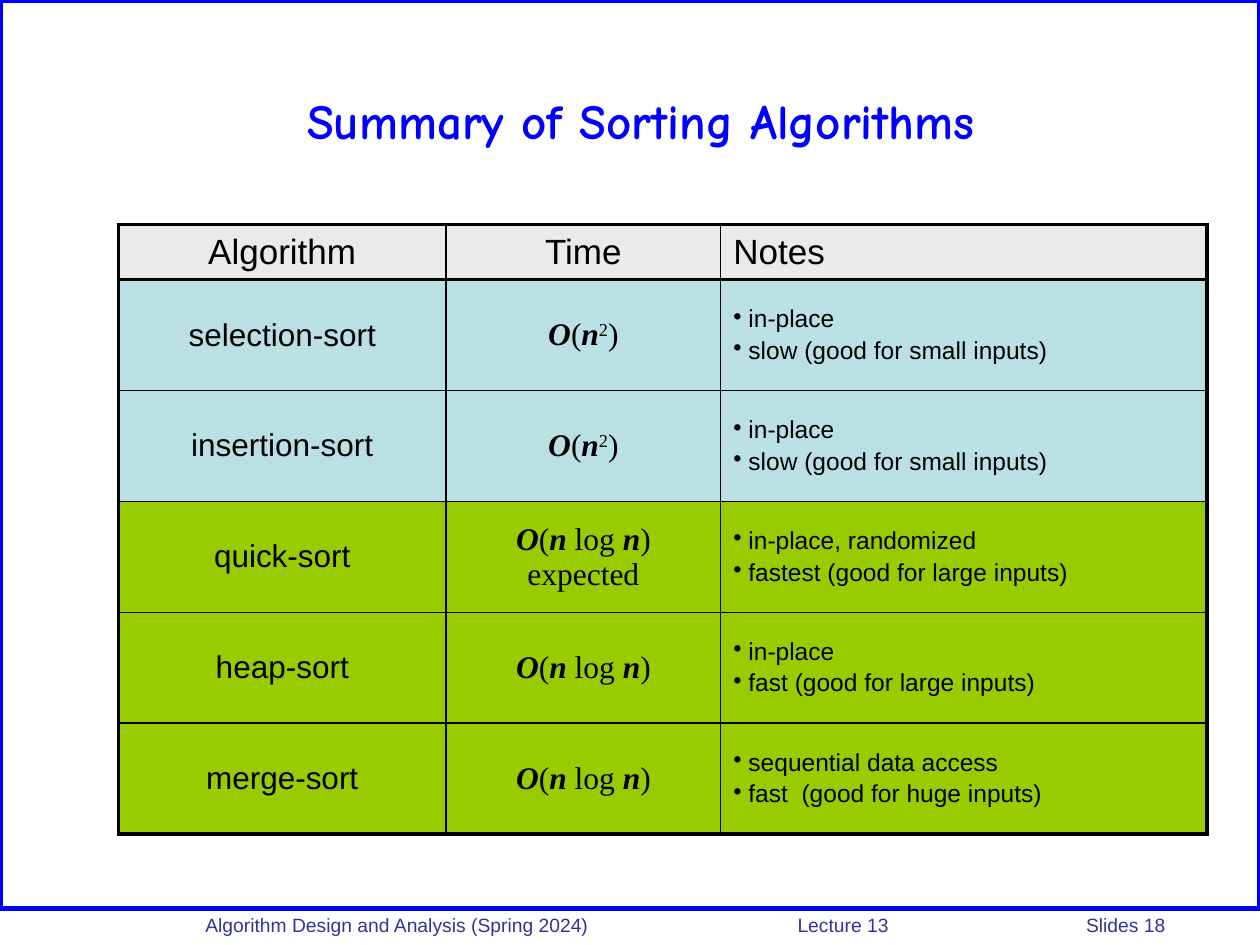
import pptx
import pptx.dml.color
import pptx.enum.shapes
import pptx.enum.text
import pptx.oxml
import pptx.oxml.ns
import pptx.util

ALIGN = pptx.enum.text.PP_ALIGN
MIDDLE = pptx.enum.text.MSO_ANCHOR.MIDDLE
QUADRATIC = ["O", "(", "n", "2", ")"]
LINEARITHMIC = ["O", "(", "n", " log ", "n", ")"]
SLOW, FAST = "BBE0E3", "99CC00"
ALGORITHMS = [
    ("selection-sort", QUADRATIC, ["in-place", "slow (good for small inputs)"], SLOW),
    ("insertion-sort", QUADRATIC, ["in-place", "slow (good for small inputs)"], SLOW),
    ("quick-sort", LINEARITHMIC + ["\n", "expected"],
     ["in-place, randomized", "fastest (good for large inputs)"], FAST),
    ("heap-sort", LINEARITHMIC, ["in-place", "fast (good for large inputs)"], FAST),
    ("merge-sort", LINEARITHMIC, ["sequential data access", "fast  (good for huge inputs)"], FAST),
]


def color(value):
    return pptx.dml.color.RGBColor.from_string(value)


def element(xml):
    return pptx.oxml.parse_xml(xml.replace(" ", f' {pptx.oxml.ns.nsdecls("a")} ', 1))


class SlideBuilder:
    """Holds the style and current slide; lengths are tenths of an inch on a 100 by 75 grid."""

    sans, serif, display = "Arial", "Times New Roman", "Comic Neue"
    blue, footer_color, black, header_fill = "0000FF", "333399", "000000", "EAEAEA"
    thick, thin = 2.25, 1

    def __init__(self, presentation):
        self.unit = presentation.slide_width / 100
        self.slide = presentation.slides.add_slide(presentation.slide_layouts[5])

    def lengths(self, *values):
        return [round(value * self.unit) for value in values]

    def style(self, paragraph, size, font=sans, fill=black, align=ALIGN.LEFT, bold=False):
        paragraph.alignment = align
        paragraph.font.size = pptx.util.Pt(size)
        paragraph.font.name = font
        paragraph.font.bold = bold
        paragraph.font.color.rgb = color(fill)

    def title(self, text, *box):
        shape = self.slide.shapes.title
        shape.left, shape.top, shape.width, shape.height = self.lengths(*box)
        shape.text_frame.text = text
        shape.text_frame.vertical_anchor = MIDDLE
        self.style(shape.text_frame.paragraphs[0], 28, self.display, self.blue, ALIGN.CENTER, True)

    def frame(self, *box):
        shape = self.slide.shapes.add_shape(
            pptx.enum.shapes.MSO_SHAPE.RECTANGLE, *self.lengths(*box))
        shape.shadow.inherit = False
        shape.fill.background()
        shape.line.color.rgb = color(self.blue)
        shape.line.width = pptx.util.Pt(3)

    def footer(self, parts, indent, stops, *box):
        text_frame = self.slide.shapes.add_textbox(*self.lengths(*box)).text_frame
        text_frame.word_wrap = True
        text_frame.margin_left = self.lengths(indent)[0]
        paragraph = text_frame.paragraphs[0]
        paragraph.text = "\t".join(parts)
        tabs = "".join(f'<a:tab pos="{stop}" algn="l"/>' for stop in self.lengths(*stops))
        paragraph._p.get_or_add_pPr().append(element(f"<a:tabLst >{tabs}</a:tabLst>"))
        self.style(paragraph, 11, fill=self.footer_color)

    def label(self, cell, text, size, align=ALIGN.CENTER):
        cell.text = text
        self.style(cell.text_frame.paragraphs[0], size, align=align)

    def formula(self, cell, parts):
        paragraph = cell.text_frame.paragraphs[0]
        self.style(paragraph, 18, self.serif, align=ALIGN.CENTER)
        for part in parts:
            if part == "\n":
                paragraph.add_line_break()
                continue
            run = paragraph.add_run()
            run.text = part
            run.font.bold = run.font.italic = part in ("O", "n")
            if part == "2":
                run._r.get_or_add_rPr().set("baseline", "30000")

    def bullets(self, cell, lines):
        cell.text = "\n".join(lines)
        indent = self.lengths(1.2)[0]
        for index, paragraph in enumerate(cell.text_frame.paragraphs):
            if index:
                paragraph.space_before = pptx.util.Pt(2.2)
            properties = paragraph._p.get_or_add_pPr()
            properties.set("marL", str(indent))
            properties.set("indent", str(-indent))
            properties.append(element('<a:buChar char="•"/>'))
            self.style(paragraph, 14)

    def finish_cell(self, cell, fill, thick_sides):
        cell.vertical_anchor = MIDDLE
        cell.fill.solid()
        cell.fill.fore_color.rgb = color(fill)
        for index, side in enumerate("LRTB"):
            width = pptx.util.Pt(self.thick if side in thick_sides else self.thin)
            cell._tc.get_or_add_tcPr().insert(index, element(
                f'<a:ln{side} w="{width}"><a:solidFill><a:srgbClr val="{self.black}"/>'
                f"</a:solidFill></a:ln{side}>"))

    def table(self, headings, algorithms, widths, heights, left, top):
        table = self.slide.shapes.add_table(
            len(heights), len(widths),
            *self.lengths(left, top, sum(widths), sum(heights))).table
        table.first_row = table.horz_banding = False
        for column, width in zip(table.columns, self.lengths(*widths)):
            column.width = width
        for row, height in zip(table.rows, self.lengths(*heights)):
            row.height = height
        for index, heading in enumerate(headings):
            align = ALIGN.LEFT if heading == "Notes" else ALIGN.CENTER
            self.label(table.cell(0, index), heading, 20, align)
        for row, (name, time, notes, _) in enumerate(algorithms, 1):
            self.label(table.cell(row, 0), name, 18)
            self.formula(table.cell(row, 1), time)
            self.bullets(table.cell(row, 2), notes)
        fills = [self.header_fill] + [algorithm[-1] for algorithm in algorithms]
        for row, fill in enumerate(fills):
            for column in range(len(widths)):
                thick_sides = "L" * (column == 0) + "R" * (column == len(widths) - 1)
                thick_sides += "T" * (row <= 1) + "B" * (row in (0, len(algorithms)))
                self.finish_cell(table.cell(row, column), fill, thick_sides)


def main():
    presentation = pptx.Presentation()
    presentation.slide_width = pptx.util.Inches(10)
    presentation.slide_height = pptx.util.Inches(7.5)
    builder = SlideBuilder(presentation)
    builder.frame(0, 0, 100, 72.1)
    builder.footer(
        ["Algorithm Design and Analysis (Spring 2024)", "Lecture 13", "Slides 18"],
        3, [47, 69.9], 13.3, 72, 86.7, 2.6)
    builder.title("Summary of Sorting Algorithms", 6.7, 3.3, 88.3, 12.5)
    builder.table(["Algorithm", "Time", "Notes"], ALGORITHMS,
                  [26, 21.8, 38.6], [4.4] + [8.8] * len(ALGORITHMS), 9.4, 17.8)
    presentation.save("out.pptx")


if __name__ == "__main__":
    main()
